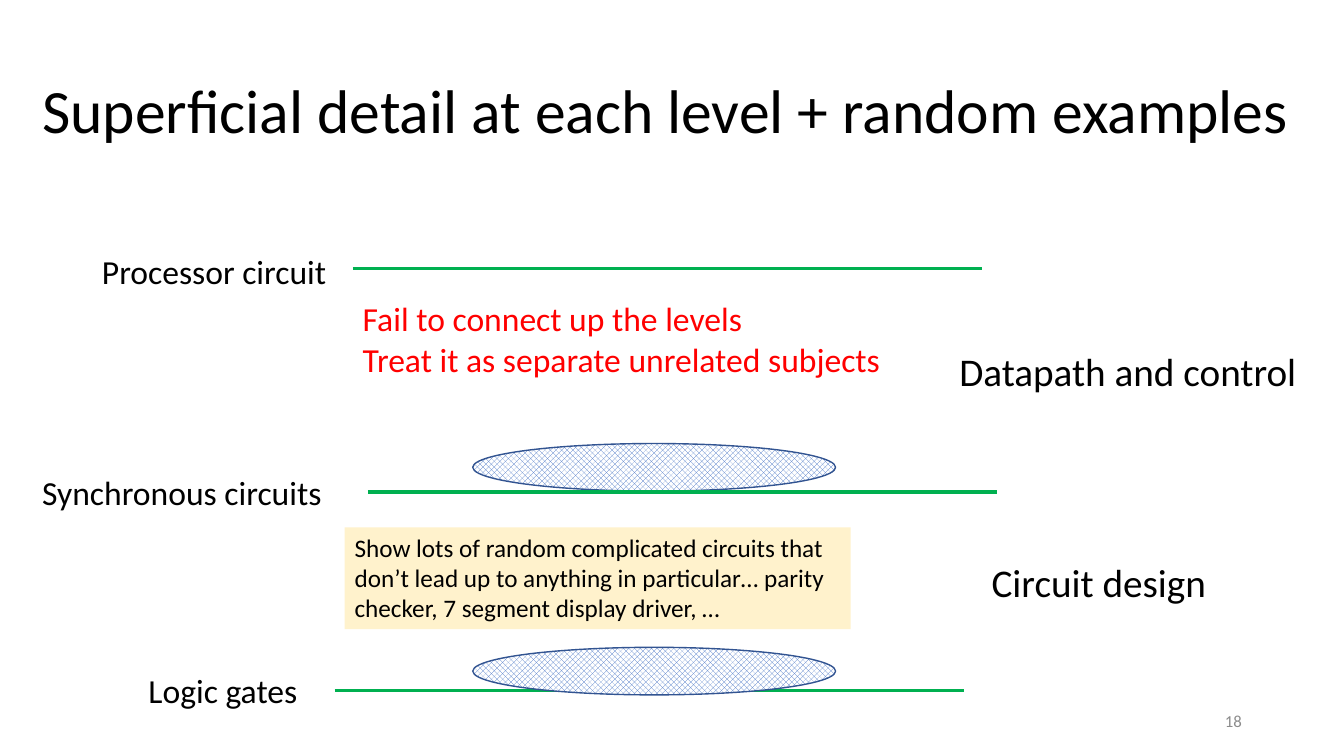
import pptx
import pptx.util
import pptx.dml.color
import pptx.enum.dml
import pptx.enum.shapes
import pptx.enum.text
import lxml.etree

Pt = pptx.util.Pt
ALIGN = pptx.enum.text.PP_ALIGN
ANCHOR = pptx.enum.text.MSO_ANCHOR
COLORS = {
    "black": "000000", "white": "FFFFFF", "red": "FF0000", "grey": "8C8C8C",
    "level": "00B050", "hatch": "4472C4", "outline": "325491", "note": "FFF2CC",
}


def color(name):
    return pptx.dml.color.RGBColor.from_string(COLORS[name])


def write(shape, text, size=24, ink="black", align=ALIGN.LEFT,
          anchor=ANCHOR.TOP, spacing=1.0):
    frame = shape.text_frame
    frame.word_wrap = True
    frame.auto_size = pptx.enum.text.MSO_AUTO_SIZE.NONE
    frame.vertical_anchor = anchor
    frame.text = text
    for paragraph in frame.paragraphs:
        paragraph.alignment = align
        paragraph.line_spacing = spacing
        paragraph.font.name = "Calibri"
        paragraph.font.size = Pt(size)
        paragraph.font.color.rgb = color(ink)


deck = pptx.Presentation()
deck.slide_width, deck.slide_height = Pt(960), Pt(540)
slide = deck.slides.add_slide(deck.slide_layouts[5])
shapes = slide.shapes

# Title
title = shapes.title
title.left, title.top, title.width, title.height = Pt(23), Pt(29), Pt(920), Pt(104)
write(title, "Superficial detail at each level + random examples",
      size=44, anchor=ANCHOR.MIDDLE, spacing=0.9)

# Hatched ellipses: one above each of the two lower levels
ellipses = []
for top in (316.8, 462.4):
    ellipse = shapes.add_shape(pptx.enum.shapes.MSO_SHAPE.OVAL,
                               Pt(337.7), Pt(top), Pt(259.2), Pt(34))
    ellipse.shadow.inherit = False
    ellipse.fill.patterned()
    ellipse.fill.pattern = pptx.enum.dml.MSO_PATTERN.SOLID_DIAMOND
    ellipse.fill.fore_color.rgb = color("hatch")
    ellipse.fill.back_color.rgb = color("white")
    ellipse.line.color.rgb = color("outline")
    ellipse.line.width = Pt(1)
    ellipses.append(ellipse)
synchronous_ellipse, gates_ellipse = ellipses

# Level lines, 449 pt long
for left, y in ((239, 493.2), (252, 191.5), (262.8, 351.4)):
    level = shapes.add_connector(pptx.enum.shapes.MSO_CONNECTOR.STRAIGHT,
                                 Pt(left), Pt(y), Pt(left + 449.3), Pt(y))
    level.line.color.rgb = color("level")
    level.line.width = Pt(2.25)
    lxml.etree.SubElement(level.element.spPr, pptx.oxml.ns.qn("a:effectLst"))
# The lowest ellipse covers its line
level.element.addnext(gates_ellipse.element)

# Level names, topics, criticism and slide number
labels = [
    ("Logic gates", 60.5, 475.2, 159, 36, {"align": ALIGN.RIGHT}),
    ("Synchronous circuits", 23, 333.4, 240, 36, {}),
    ("Processor circuit", 60.5, 175.7, 185, 36, {"align": ALIGN.CENTER}),
    ("Circuit design", 701.3, 395.3, 180, 41, {"size": 28}),
    ("Datapath and control", 678.2, 244.8, 272, 41, {"size": 28}),
    ("18", 678.2, 500.4, 216, 29,
     {"size": 12, "ink": "grey", "align": ALIGN.RIGHT, "anchor": ANCHOR.MIDDLE}),
    ("Fail to connect up the levels\nTreat it as separate unrelated subjects",
     252, 209.5, 417, 65.5, {"ink": "red"}),
]
for text, left, top, width, height, style in labels:
    label = shapes.add_textbox(Pt(left), Pt(top), Pt(width), Pt(height))
    write(label, text, **style)

# Note on random circuits
note = shapes.add_shape(pptx.enum.shapes.MSO_SHAPE.RECTANGLE,
                        Pt(246.2), Pt(376.6), Pt(361.4), Pt(72.7))
note.shadow.inherit = False
note.fill.solid()
note.fill.fore_color.rgb = color("note")
note.line.fill.background()
write(note, "Show lots of random complicated circuits that don’t lead up to "
      "anything in particular… parity checker, 7 segment display driver, …", size=18)

deck.save("out.pptx")
